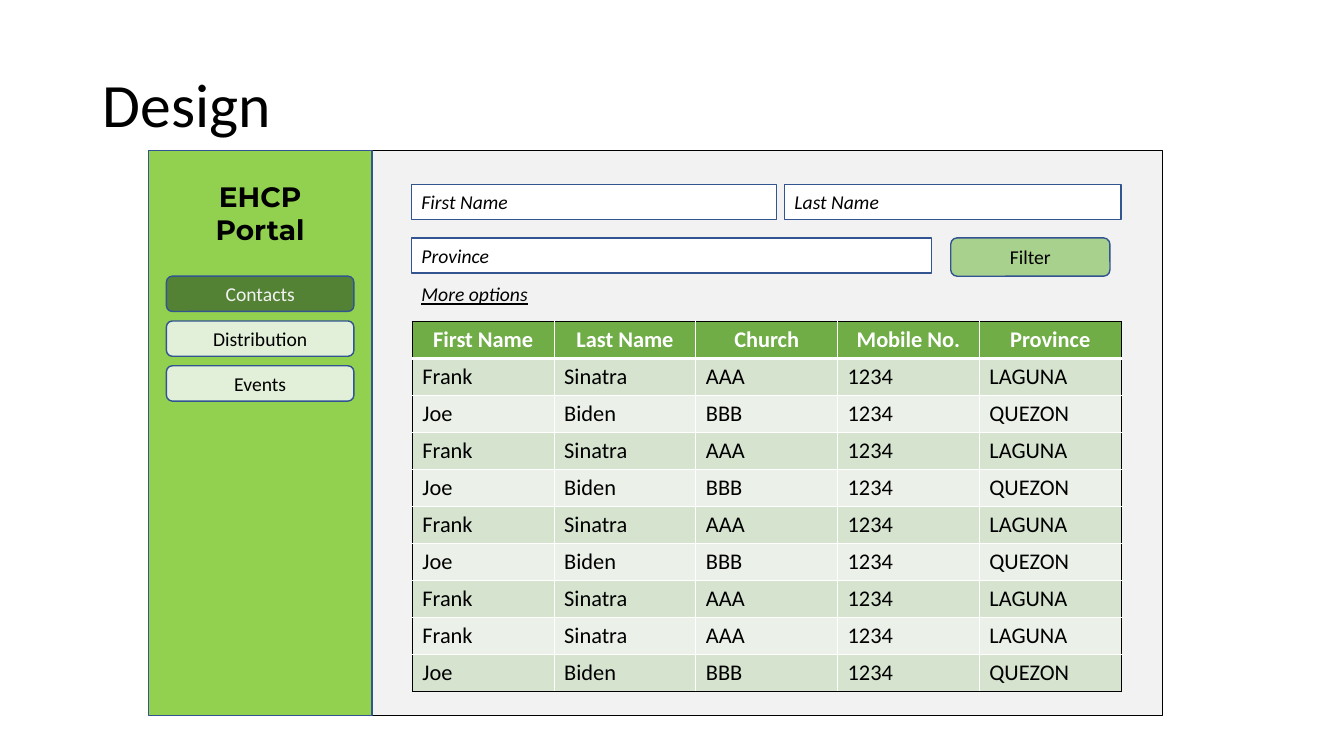
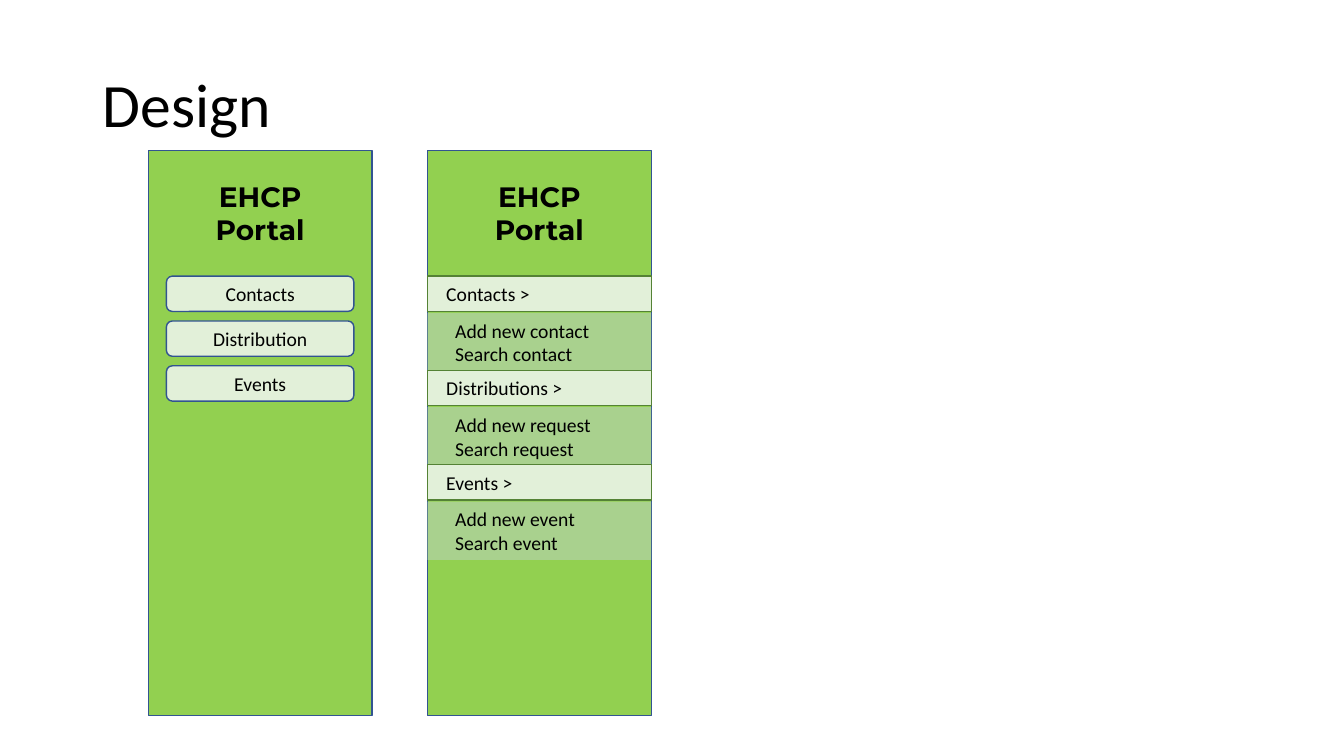
"""Draw two design slides of a contact portal."""
from dataclasses import dataclass
from typing import Any, NamedTuple

from lxml import etree
from pptx import Presentation
from pptx.dml.color import RGBColor
from pptx.enum.shapes import MSO_SHAPE
from pptx.enum.text import MSO_ANCHOR, MSO_AUTO_SIZE, PP_ALIGN
from pptx.oxml.ns import qn
from pptx.util import Inches, Pt

RECT, ROUND = MSO_SHAPE.RECTANGLE, MSO_SHAPE.ROUNDED_RECTANGLE
LEFT, MID = PP_ALIGN.LEFT, PP_ALIGN.CENTER
TOP, CORE = MSO_ANCHOR.TOP, MSO_ANCHOR.MIDDLE
FIXED, GROW = MSO_AUTO_SIZE.NONE, MSO_AUTO_SIZE.SHAPE_TO_FIT_TEXT
WIDE, HIGH = Inches(13.33), Inches(7.5)


@dataclass(frozen=True)
class Theme:
    """Colours, fonts and type sizes of the deck."""
    ink: str = "000000"
    white: str = "FFFFFF"
    pale: str = "F2F2F2"
    lime: str = "92D050"
    blue: str = "325491"
    dark: str = "548235"
    mint: str = "E2F0D9"
    sage: str = "A9D18E"
    head: str = "70AD47"
    bands: tuple[str, str] = ("D5E3CF", "EBF1E9")
    body: str = "Calibri"
    brand: str = "Montserrat"
    title: int = 44
    mark: int = 20
    grid: int = 16
    text: int = 14


class Box(NamedTuple):
    """Place and size in percent of the slide."""
    x: float
    y: float
    w: float
    h: float

    def frame(self) -> tuple[int, int, int, int]:
        """Give the box in slide units."""
        return across(self.x), down(self.y), across(self.w), down(self.h)


@dataclass(frozen=True)
class Label:
    """Text lines with their format."""
    lines: tuple[str, ...]
    size: int
    face: str
    ink: str
    align: Any = MID
    inset: float = 0.75
    bold: bool = False
    slant: bool = False
    under: bool = False


@dataclass(frozen=True)
class Panel:
    """A filled shape with an optional line and label."""
    box: Box
    fill: str
    edge: str | None
    form: Any = RECT
    label: Label | None = None


class Menu(NamedTuple):
    """A menu head and the entries under it."""
    head: str
    items: tuple[str, ...]


T = Theme()
TITLE = Box(6.9, 4.53, 86.27, 19.33)
SIDE = Box(11.03, 19.87, 16.65, 74.8)
MAIN = Box(27.61, 19.87, 58.89, 74.8)
SHEET = Box(30.68, 42.53, 52.74, 48.93)
MORE = Box(30.61, 36.67, 15.68, 4.53)
FIELDS = {
    "First Name": Box(30.61, 24.4, 27.16, 4.67),
    "Last Name": Box(58.36, 24.4, 25.06, 4.67),
    "Province": Box(30.61, 31.47, 38.71, 4.67),
}
FILTER = Box(70.74, 31.47, 11.85, 5.07)
TABS = ("Contacts", "Distribution", "Events")
MENUS = (
    Menu("Contacts >", ("Add new contact", "Search contact")),
    Menu("Distributions >", ("Add new request", "Search request")),
    Menu("Events >", ("Add new event", "Search event")),
)
HEADS = ("First Name", "Last Name", "Church", "Mobile No.", "Province")
FRANK = ("Frank", "Sinatra", "AAA", "1234", "LAGUNA")
JOE = ("Joe", "Biden", "BBB", "1234", "QUEZON")
ROWS = (HEADS, *(FRANK, JOE) * 3, FRANK, FRANK, JOE)
MENU_TOP, TAB_HIGH, TAB_STEP, PAD = 36.53, 4.67, 5.93, 1.35
MENU_STEP, LIST_DROP, LIST_HIGH, SHIFT = 12.47, 4.87, 7.73, 20.78


def across(part: float) -> int:
    """Turn a percent of the width into slide units."""
    return round(WIDE * part / 100)


def down(part: float) -> int:
    """Turn a percent of the height into slide units."""
    return round(HIGH * part / 100)


def apply(item: Any, values: dict[str, Any]) -> None:
    """Set each named value on an object."""
    for name, value in values.items():
        setattr(item, name, value)


def plain(text: str, **extra: Any) -> Label:
    """Make a label in the body type."""
    values = {"size": T.text, "face": T.body, "ink": T.ink, **extra}
    return Label((text,), **values)


def write(frame: Any, label: Label, anchor: Any, fit: Any = FIXED) -> None:
    """Write a label into a text frame."""
    apply(frame, {"word_wrap": True, "auto_size": fit, "vertical_anchor": anchor,
                  "margin_left": across(label.inset)})
    for at, line in enumerate(label.lines):
        para = frame.add_paragraph() if at else frame.paragraphs[0]
        para.alignment = label.align
        run = para.add_run()
        run.text = line
        apply(run.font, {"size": Pt(label.size), "name": label.face, "bold": label.bold,
                         "italic": label.slant, "underline": label.under})
        run.font.color.rgb = RGBColor.from_string(label.ink)


def paint(fill: Any, tone: str) -> None:
    """Give a fill one solid colour."""
    fill.solid()
    fill.fore_color.rgb = RGBColor.from_string(tone)


def draw(slide: Any, panel: Panel) -> None:
    """Draw one panel."""
    shape = slide.shapes.add_shape(panel.form, *panel.box.frame())
    shape.shadow.inherit = False
    paint(shape.fill, panel.fill)
    if panel.edge:
        paint(shape.line.fill, panel.edge)
        shape.line.width = Pt(1)
    else:
        shape.line.fill.background()
    if panel.label:
        write(shape.text_frame, panel.label, CORE)


def note(slide: Any, box: Box, label: Label) -> None:
    """Add a text box that grows with its text."""
    frame = slide.shapes.add_textbox(*box.frame()).text_frame
    write(frame, label, TOP, GROW)


def start(deck: Any) -> Any:
    """Add a slide with the shared title."""
    slide = deck.slides.add_slide(deck.slide_layouts[5])
    title = slide.shapes.title
    apply(title, dict(zip(("left", "top", "width", "height"), TITLE.frame())))
    write(title.text_frame, plain("Design", size=T.title, align=LEFT), CORE)
    title.text_frame.paragraphs[0].line_spacing = 0.9
    return slide


def sidebar(slide: Any, shift: float = 0) -> Box:
    """Draw the green side bar with its name and return its box."""
    bar = SIDE._replace(x=SIDE.x + shift)
    draw(slide, Panel(bar, T.lime, T.blue))
    name = Box(bar.x + PAD, 23.07, bar.w - 2 * PAD, 10.27)
    note(slide, name, plain("EHCP Portal", size=T.mark, face=T.brand, bold=True))
    return bar


def buttons(slide: Any, bar: Box, live: str = "") -> None:
    """Draw the tabs of a side bar, with the live one dark."""
    for at, tab in enumerate(TABS):
        box = Box(bar.x + PAD, MENU_TOP + at * TAB_STEP, bar.w - 2 * PAD, TAB_HIGH)
        fill, ink = (T.dark, T.pale) if tab == live else (T.mint, T.ink)
        draw(slide, Panel(box, fill, T.blue, ROUND, plain(tab, ink=ink)))


def fold(slide: Any, bar: Box) -> None:
    """Draw the open menus of a side bar."""
    for at, menu in enumerate(MENUS):
        top = MENU_TOP + at * MENU_STEP
        head = plain(menu.head, align=LEFT, inset=1.39)
        draw(slide, Panel(Box(bar.x, top, bar.w, TAB_HIGH), T.mint, T.dark, label=head))
        items = Label(menu.items, T.text, T.body, T.ink, LEFT, 2.06)
        under = Box(bar.x, top + LIST_DROP, bar.w, LIST_HIGH)
        draw(slide, Panel(under, T.sage, None, label=items))


def rule(cell: Any, side: str, tone: str, width: int) -> None:
    """Draw one border of a cell."""
    props = cell._tc.get_or_add_tcPr()
    line = etree.SubElement(props, qn(f"a:ln{side}"), w=str(Pt(width)))
    fill = etree.SubElement(line, qn("a:solidFill"))
    etree.SubElement(fill, qn("a:srgbClr"), val=tone)


def table(slide: Any, box: Box) -> None:
    """Draw the contact table."""
    tall, broad = len(ROWS), len(HEADS)
    grid = slide.shapes.add_table(tall, broad, *box.frame()).table
    grid.horz_banding = False
    for col in grid.columns:
        col.width = across(box.w / broad)
    for r, row in enumerate(ROWS):
        grid.rows[r].height = down(box.h / tall)
        for c, text in enumerate(row):
            cell = grid.cell(r, c)
            rims = {"L": c == 0, "R": c == broad - 1, "T": r == 0, "B": r == tall - 1}
            for side, rim in rims.items():
                thick = (r, side) in ((0, "B"), (1, "T"))
                rule(cell, side, T.ink if rim else T.white, 3 if thick else 1)
            paint(cell.fill, T.bands[(r - 1) % 2] if r else T.head)
            look = {"align": LEFT} if r else {"ink": T.white, "bold": True}
            para = plain(text, size=T.grid, **look)
            fill_cell(cell, para)


def fill_cell(cell: Any, label: Label) -> None:
    """Write a label into a table cell."""
    para = cell.text_frame.paragraphs[0]
    para.alignment = label.align
    run = para.add_run()
    run.text = label.lines[0]
    apply(run.font, {"size": Pt(label.size), "name": label.face, "bold": label.bold})
    run.font.color.rgb = RGBColor.from_string(label.ink)


def search(deck: Any) -> None:
    """Build the slide with the contact search."""
    slide = start(deck)
    draw(slide, Panel(MAIN, T.pale, T.ink))
    buttons(slide, sidebar(slide), "Contacts")
    table(slide, SHEET)
    draw(slide, Panel(FILTER, T.sage, T.blue, ROUND, plain("Filter")))
    for name, box in FIELDS.items():
        label = plain(name, align=LEFT, slant=True)
        draw(slide, Panel(box, T.white, T.blue, label=label))
    note(slide, MORE, plain("More options", align=LEFT, slant=True, under=True))


def menus(deck: Any) -> None:
    """Build the slide with the closed and open side bars."""
    slide = start(deck)
    buttons(slide, sidebar(slide))
    fold(slide, sidebar(slide, SHIFT))


def main() -> None:
    """Build and save the deck."""
    deck = Presentation()
    apply(deck, {"slide_width": WIDE, "slide_height": HIGH})
    search(deck)
    menus(deck)
    deck.save("out.pptx")


main()
